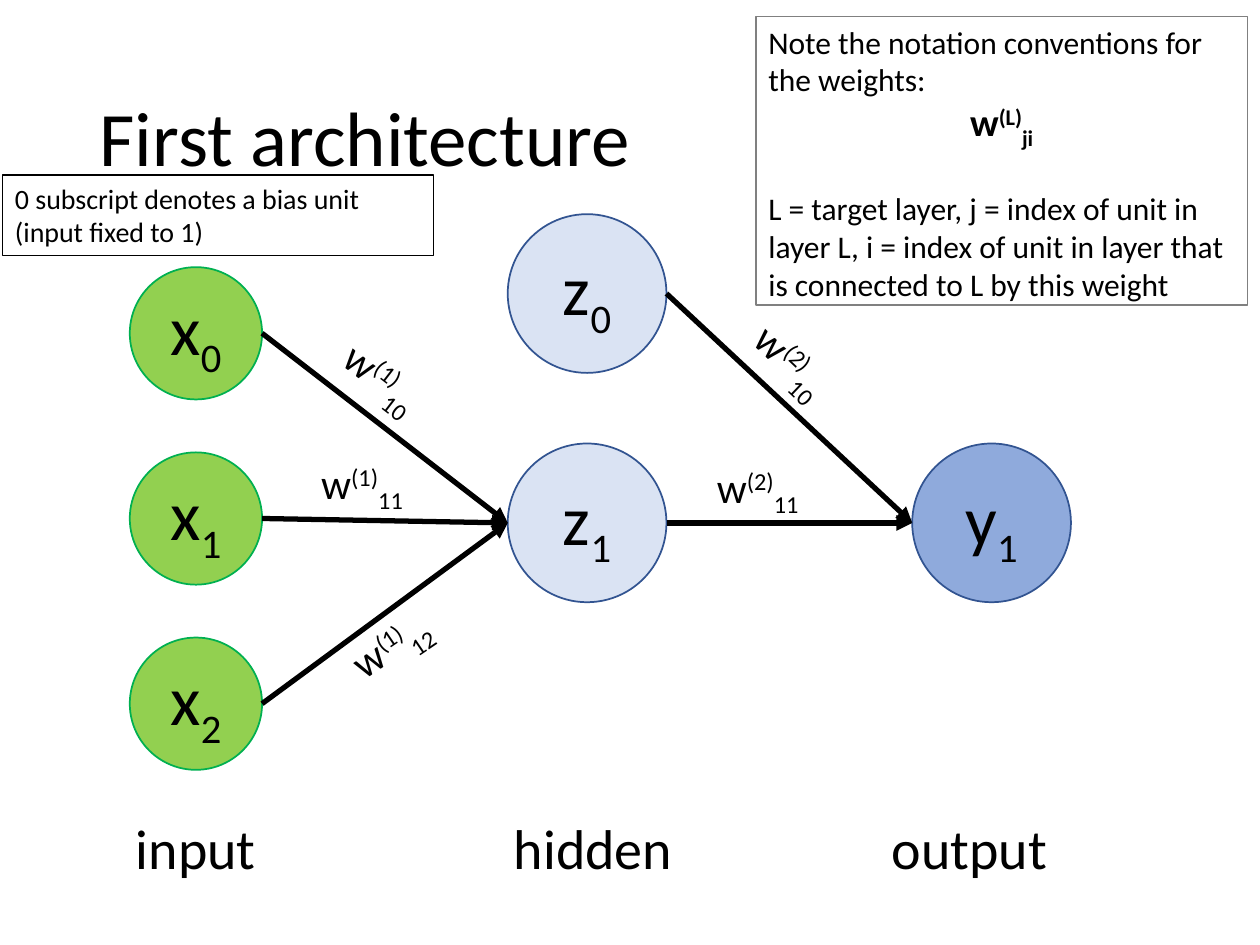
from lxml import etree
from pptx import Presentation
from pptx.dml.color import RGBColor
from pptx.enum.shapes import MSO_CONNECTOR, MSO_SHAPE
from pptx.enum.text import MSO_ANCHOR, MSO_AUTO_SIZE, PP_ALIGN
from pptx.oxml.ns import qn
from pptx.util import Inches, Pt

CENTER, LEFT = PP_ALIGN.CENTER, PP_ALIGN.LEFT
MIDDLE = MSO_ANCHOR.MIDDLE
FIT_SHAPE = MSO_AUTO_SIZE.SHAPE_TO_FIT_TEXT
ELLIPSE, STRAIGHT = MSO_SHAPE.OVAL, MSO_CONNECTOR.STRAIGHT

FONT = "Calibri"
COLORS = {
    "text": "000000",
    "note line": "808080",
    "input": "92D050",
    "input line": "00B050",
    "hidden": "DAE3F3",
    "output": "8FAADC",
    "unit line": "325491",
}
SUPERSCRIPT, SUBSCRIPT = 30, -25


def rgb(name):
    return RGBColor.from_string(COLORS[name])


def write(para, spans, size, align=LEFT, bold=False):
    """Fill a paragraph with (text, baseline percent) spans."""
    para.alignment = align
    font = para.font
    font.name, font.size, font.bold = FONT, Pt(size), bold
    font.color.rgb = rgb("text")
    for text, baseline in spans:
        span = para.add_run()
        span.text = text
        if baseline:
            span.font._element.set("baseline", str(baseline * 1000))


def add_title(page, text):
    title = page.shapes.title
    title.left, title.top = Inches(0.69), Inches(0.4)
    title.width, title.height = Inches(8.62), Inches(1.45)
    title.text_frame.vertical_anchor = MIDDLE
    para = title.text_frame.paragraphs[0]
    write(para, [(text, 0)], 44)
    para.line_spacing = 0.9


def add_unit(page, letter, index, left, top, size, fill, line):
    circle = page.shapes.add_shape(
        ELLIPSE, Inches(left), Inches(top), Inches(size), Inches(size))
    circle.shadow.inherit = False
    circle.fill.solid()
    circle.fill.fore_color.rgb = rgb(fill)
    circle.line.color.rgb = rgb(line)
    circle.line.width = Pt(1)
    circle.text_frame.vertical_anchor = MIDDLE
    write(circle.text_frame.paragraphs[0],
          [(letter, 0), (str(index), SUBSCRIPT)], 40, CENTER)
    return circle


def add_arrow(page, source, target):
    """Draw from the right side of one unit to the left side of another."""
    arrow = page.shapes.add_connector(
        STRAIGHT,
        source.left + source.width, source.top + source.height // 2,
        target.left, target.top + target.height // 2)
    arrow.line.color.rgb = rgb("text")
    arrow.line.width = Pt(3)
    etree.SubElement(arrow.line._get_or_add_ln(), qn("a:tailEnd"), type="triangle")
    etree.SubElement(arrow._element.spPr, qn("a:effectLst"))


def add_text(page, left, top, width, height, wrap=False, line=None):
    box = page.shapes.add_textbox(
        Inches(left), Inches(top), Inches(width), Inches(height))
    box.text_frame.word_wrap = wrap
    box.text_frame.auto_size = FIT_SHAPE
    if line:
        box.line.color.rgb = rgb(line)
        box.line.width = Pt(0.75)
    return box


def add_weight(page, layer, indices, left, top, angle):
    box = add_text(page, left, top, 0.92, 0.5)
    box.rotation = angle
    write(box.text_frame.paragraphs[0],
          [("w", 0), (f"({layer})", SUPERSCRIPT), (indices, SUBSCRIPT)], 24)


def add_layer_names(page, names, gap):
    box = add_text(page, 0.98, 6.41, 7.51, 0.64)
    para = box.text_frame.paragraphs[0]
    write(para, [("\t".join(names), 0)], 32)
    # One tab stop for each layer after the first
    tabs = etree.Element(qn("a:tabLst"))
    for column in range(1, len(names)):
        etree.SubElement(tabs, qn("a:tab"), pos=str(Inches(gap * column)), algn="l")
    para._p.pPr.find(qn("a:defRPr")).addprevious(tabs)


def add_notes_on_notation(page):
    box = add_text(page, 6, 0.13, 3.9, 2.29, wrap=True, line="note line")
    frame = box.text_frame
    write(frame.paragraphs[0],
          [("Note the notation conventions for the weights:", 0)], 18)
    write(frame.add_paragraph(),
          [("w", 0), ("(L)", SUPERSCRIPT), ("ji", SUBSCRIPT)], 22, CENTER, True)
    legend = frame.add_paragraph()
    write(legend, [("L = target layer, j = index of unit in layer L, i = index of "
                    "unit in layer that is connected to L by this weight", 0)], 18)
    legend.space_before = Pt(22)

    bias = add_text(page, 0.02, 1.39, 3.42, 0.64, wrap=True, line="text")
    write(bias.text_frame.paragraphs[0],
          [("0 subscript denotes a bias unit (input fixed to 1)", 0)], 16)


def main():
    deck = Presentation()
    deck.slide_width, deck.slide_height = Inches(10), Inches(7.5)
    page = deck.slides.add_slide(deck.slide_layouts[5])
    add_title(page, "First architecture")

    # Units of the three layers
    inputs = [add_unit(page, "x", i, 1.03, 2.12 + 1.47 * i, 1.05, "input", "input line")
              for i in range(3)]
    bias, hidden = [add_unit(page, "z", i, 4.03, 1.7 + 1.82 * i, 1.26, "hidden", "unit line")
                    for i in range(2)]
    output = add_unit(page, "y", 1, 7.24, 3.52, 1.26, "output", "unit line")

    # Connections
    for unit in inputs:
        add_arrow(page, unit, hidden)
    for unit in (bias, hidden):
        add_arrow(page, unit, output)

    # Weights: layer, indices, left, top, angle
    for weight in [
        (1, "10", 2.61, 2.76, 37.5),
        (1, "11", 2.45, 3.58, 0),
        (1, "12", 2.66, 4.84, 325.9),
        (2, "10", 5.86, 2.63, 43.5),
        (2, "11", 5.59, 3.61, 0),
    ]:
        add_weight(page, *weight)

    # Captions and notes
    add_layer_names(page, ["input", "hidden", "output"], 3)
    add_notes_on_notation(page)
    deck.save("out.pptx")


if __name__ == "__main__":
    main()
